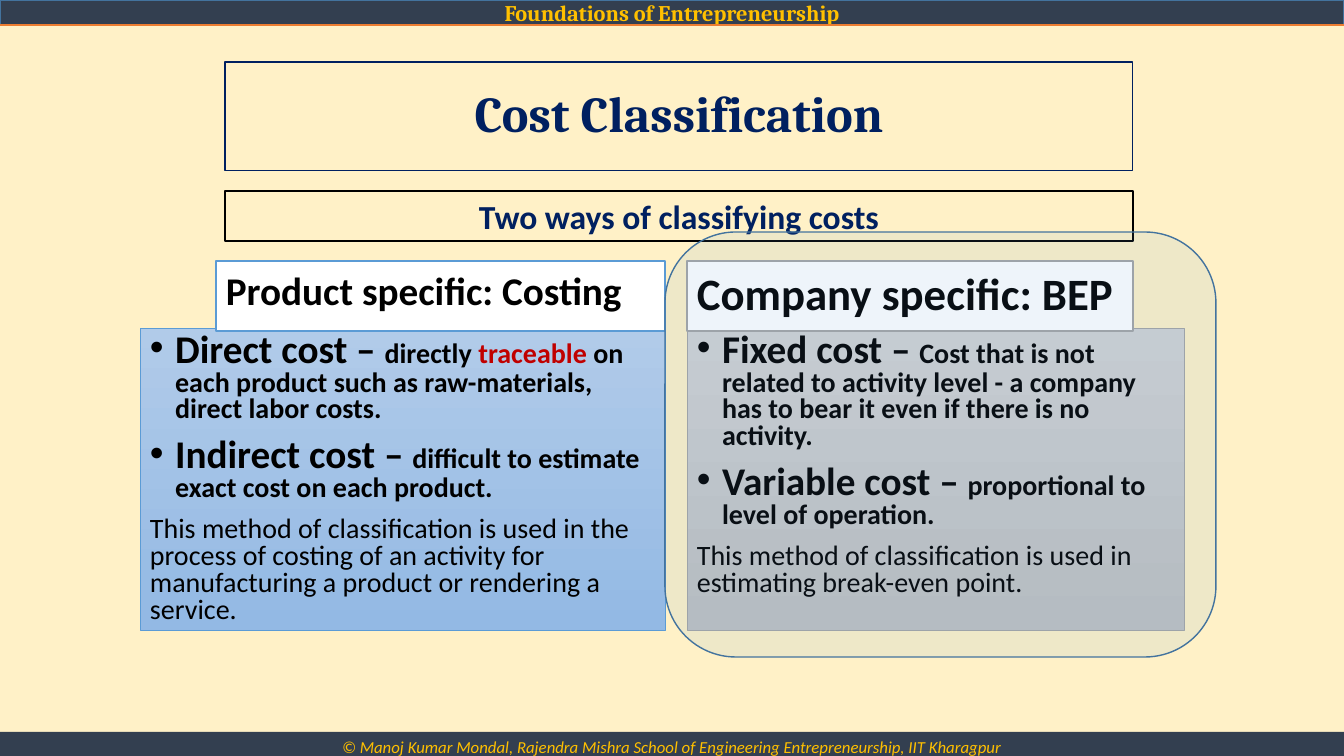
from lxml import etree
from pptx import Presentation
from pptx import util as u
from pptx.dml.color import RGBColor
from pptx.enum import shapes, text
from pptx.oxml.ns import qn

NAVY, BLACK, RED, GOLD, SLATE = "002060", "000000", "C00000", "FFC000", "333F50"
RULE_BLUE, WHITE, CREAM = "43739E", "FFFFFF", "FFF1C7"

COURSE = "Foundations of Entrepreneurship"
RIGHTS = "© Manoj Kumar Mondal, Rajendra Mishra School of Engineering Entrepreneurship, IIT Kharagpur"
HEADING = "Cost Classification"
SUBHEADING = "Two ways of classifying costs"
COLUMNS = [
    {
        "label": "Product specific: Costing", "label_size": 28, "label_at": (216, 261, 449, 70),
        "body_at": (140, 328, 525, 302), "line": "5B9BD5", "shades": ("B1CBE9", "93B9E4"),
        "costs": [
            ("Direct cost – ", [("directly ", BLACK), ("traceable", RED),
                                (" on each product such as raw-materials, direct labor costs.", BLACK)]),
            ("Indirect cost – ", [("difficult to estimate exact cost on each product.", BLACK)]),
        ],
        "use": "This method of classification is used in the process of costing of an activity "
               "for manufacturing a product or rendering a service.",
    },
    {
        "label": "Company specific: BEP", "label_size": 32, "label_at": (687, 261, 446, 70),
        "body_at": (687, 328, 497, 302), "line": "A5A5A5", "shades": ("D2D2D2", "C0C0C0"),
        "costs": [
            ("Fixed cost – ", [("Cost that is not related to activity level - a company has to bear it "
                                "even if there is no activity.", BLACK)]),
            ("Variable cost – ", [("proportional to level of operation.", BLACK)]),
        ],
        "use": "This method of classification is used in estimating break-even point.",
    },
]


def px(n):
    return round(n * 914400 / 100.8)


def rgb(code):
    return RGBColor.from_string(code)


def outline(shape, color, width):
    if color is None:
        shape.line.fill.background()
    else:
        shape.line.color.rgb = rgb(color)
        shape.line.width = u.Pt(width)


def add_box(at, fill=None, line=None, width=1, kind=shapes.MSO_SHAPE.RECTANGLE):
    box = slide.shapes.add_shape(kind, *map(px, at))
    box.shadow.inherit = False
    if fill is None:
        box.fill.background()
    else:
        box.fill.solid()
        box.fill.fore_color.rgb = rgb(fill)
    outline(box, line, width)
    return box


def add_run(paragraph, words, size, color, bold=False, italic=False, face="Calibri"):
    run = paragraph.add_run()
    run.text = words
    run.font.name = face
    run.font.size = u.Pt(size)
    run.font.bold = bold
    run.font.italic = italic
    run.font.color.rgb = rgb(color)


def write_line(shape, words, size, color, align=text.PP_ALIGN.CENTER,
               anchor=text.MSO_ANCHOR.TOP, **style):
    frame = shape.text_frame
    frame.word_wrap = True
    frame.vertical_anchor = anchor
    paragraph = frame.paragraphs[0]
    paragraph.alignment = align
    add_run(paragraph, words, size, color, **style)
    return paragraph


def add_bullet(paragraph):
    props = paragraph._p.get_or_add_pPr()
    props.set("marL", str(u.Inches(0.25)))
    props.set("indent", str(-u.Inches(0.25)))
    etree.SubElement(props, qn("a:buFont"), typeface="Arial")
    etree.SubElement(props, qn("a:buChar"), char="•")


def add_column(column):
    body = add_box(column["body_at"], line=column["line"], width=0.5)
    body.fill.gradient()
    body.fill.gradient_angle = 270
    for stop, shade in zip(body.fill.gradient_stops, column["shades"]):
        stop.color.rgb = rgb(shade)
    frame = body.text_frame
    frame.word_wrap = True
    frame.vertical_anchor = text.MSO_ANCHOR.TOP
    for i in range(len(column["costs"]) + 1):
        paragraph = frame.add_paragraph() if i else frame.paragraphs[0]
        paragraph.alignment = text.PP_ALIGN.LEFT
        paragraph.line_spacing = 0.8
        if i:
            paragraph.space_before = u.Pt(10)
        if i == len(column["costs"]):
            add_run(paragraph, column["use"], 20, BLACK)
            continue
        add_bullet(paragraph)
        term, meaning = column["costs"][i]
        add_run(paragraph, term, 28, BLACK, bold=True)
        for words, color in meaning:
            add_run(paragraph, words, 20, color, bold=True)


deck = Presentation()
deck.slide_width, deck.slide_height = px(1344), px(756)
slide = deck.slides.add_slide(deck.slide_layouts[5])
slide.background.fill.solid()
slide.background.fill.fore_color.rgb = rgb(CREAM)

course_bar = add_box((0, 0, 1344, 25), SLATE, RULE_BLUE)
write_line(course_bar, COURSE, 16, GOLD, anchor=text.MSO_ANCHOR.MIDDLE, bold=True, face="Cambria")
course_rule = slide.shapes.add_connector(shapes.MSO_CONNECTOR.STRAIGHT, 0, px(25), px(1344), px(25))
outline(course_rule, "ED7D31", 1.5)
etree.SubElement(course_rule._element.spPr, qn("a:effectLst"))
rights_bar = add_box((0, 732, 1344, 30), SLATE)
write_line(rights_bar, RIGHTS, 12, GOLD, italic=True)

heading = slide.shapes.title
heading.left, heading.top, heading.width, heading.height = map(px, (225, 62, 908, 109))
outline(heading, NAVY, 0.75)
heading.text_frame.auto_size = text.MSO_AUTO_SIZE.NONE
write_line(heading, HEADING, 36, NAVY, anchor=text.MSO_ANCHOR.MIDDLE,
           bold=True, face="Cambria").line_spacing = 0.9

for column in COLUMNS:
    add_column(column)

subheading = add_box((225, 191, 908, 50), line=BLACK, width=1.25)
write_line(subheading, SUBHEADING, 24, NAVY, bold=True)

for column in COLUMNS:
    label = add_box(column["label_at"], WHITE, column["line"])
    write_line(label, column["label"], column["label_size"], BLACK,
               align=text.PP_ALIGN.LEFT, bold=True)

highlight = add_box((665, 232, 551, 425), "5B9BD5", RULE_BLUE, kind=shapes.MSO_SHAPE.ROUNDED_RECTANGLE)
tint = highlight._element.spPr.find(qn("a:solidFill")).find(qn("a:srgbClr"))
etree.SubElement(tint, qn("a:alpha"), val="10000")

deck.save("out.pptx")
